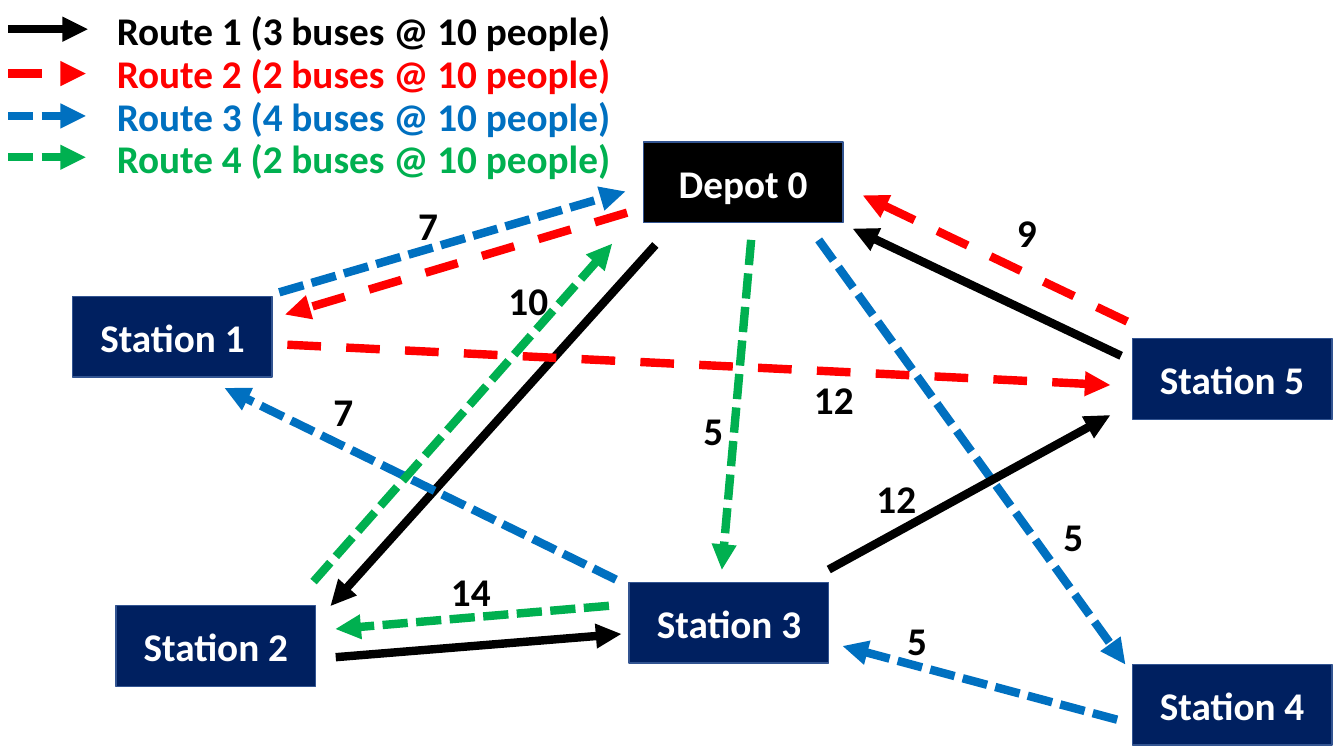
import pptx
import pptx.util
import pptx.dml.color
import pptx.enum.dml
import pptx.enum.shapes
import pptx.enum.text
import pptx.oxml
import pptx.oxml.ns

PX = 9144  # 100 px to the inch
SIZE = (1333, 750)
FONT, TEXT = "Calibri", 28
BLACK, WHITE, NAVY, EDGE = "000000", "FFFFFF", "002060", "325491"
BOX = (198, 80)
HIGH = 57  # height of a text line

DASH = pptx.enum.dml.MSO_LINE

# route: colour, dash, buses, key arrow end, key arrow y, key text top
ROUTES = {
    1: (BLACK, None, 3, 87, 29, 1),
    2: ("FF0000", DASH.DASH, 2, 85, 73, 44),
    3: ("0070C0", "sysDash", 4, 85, 115, 87),
    4: ("00B050", DASH.SQUARE_DOT, 2, 85, 156, 128),
}
KEY_X, KEY_TEXT, KEY_WIDE = 8, 106, 515

# name, left, top, fill
STOPS = [
    ("Station 1", 72, 294, NAVY),
    ("Station 5", 1123, 336, NAVY),
    ("Station 2", 115, 601, NAVY),
    ("Depot 0", 638, 141, BLACK),
    ("Station 3", 624, 578, NAVY),
    ("Station 4", 1123, 659, NAVY),
]

# route, from x, from y, to x, to y
LEGS = [
    (2, 622, 211, 283, 312),
    (3, 812, 238, 1116, 659),
    (1, 650, 243, 328, 601),
    (1, 333, 652, 616, 629),
    (1, 822, 565, 1101, 412),
    (1, 1112, 353, 846, 227),
    (2, 285, 342, 1101, 382),
    (2, 1118, 319, 856, 194),
    (3, 1108, 714, 836, 641),
    (3, 611, 575, 223, 385),
    (3, 277, 290, 620, 190),
    (4, 745, 238, 716, 565),
    (4, 604, 601, 333, 624),
    (4, 311, 577, 607, 242),
]

# people, left, top
LOADS = [
    (9, 998, 202), (7, 404, 195), (12, 797, 367), (5, 687, 398),
    (10, 494, 269), (5, 1044, 503), (12, 859, 466), (14, 437, 558),
    (5, 889, 607), (7, 320, 379),
]

ALIGN = pptx.enum.text.PP_ALIGN


def px(*nums):
    return [pptx.util.Emu(n * PX) for n in nums]


def rgb(code):
    return pptx.dml.color.RGBColor.from_string(code)


def write(frame, words, color, align):
    para = frame.paragraphs[0]
    para.alignment = align
    run = para.add_run()
    run.text = words
    run.font.name, run.font.size = FONT, pptx.util.Pt(TEXT)
    run.font.bold = True
    run.font.color.rgb = rgb(color)


def label(words, x, y, wide, color, align):
    frame = shapes.add_textbox(*px(x, y, wide, HIGH)).text_frame
    frame.word_wrap = False
    frame.auto_size = pptx.enum.text.MSO_AUTO_SIZE.SHAPE_TO_FIT_TEXT
    write(frame, words, color, align)


def arrow(route, *ends):
    color, dash = ROUTES[route][:2]
    link = shapes.add_connector(
        pptx.enum.shapes.MSO_CONNECTOR.STRAIGHT, *px(*ends))
    link.line.width = pptx.util.Pt(6)
    link.line.color.rgb = rgb(color)
    props = link._element.spPr
    line = props.find(pptx.oxml.ns.qn("a:ln"))
    if dash == "sysDash":
        mark(line, "prstDash", 'val="sysDash"')
    elif dash:
        link.line.dash_style = dash
    mark(line, "tailEnd", 'type="triangle"')
    mark(props, "effectLst")


def mark(home, tag, attrs=""):
    space = pptx.oxml.ns.nsdecls("a")
    home.append(pptx.oxml.parse_xml(f"<a:{tag} {space} {attrs}/>"))


def stop(name, x, y, fill):
    box = shapes.add_shape(
        pptx.enum.shapes.MSO_SHAPE.RECTANGLE, *px(x, y, *BOX))
    box.shadow.inherit = False
    box.fill.solid()
    box.fill.fore_color.rgb = rgb(fill)
    box.line.color.rgb = rgb(EDGE)
    box.line.width = pptx.util.Pt(1)
    box.text_frame.vertical_anchor = pptx.enum.text.MSO_ANCHOR.MIDDLE
    write(box.text_frame, name, WHITE, ALIGN.CENTER)


deck = pptx.Presentation()
deck.slide_width, deck.slide_height = px(*SIZE)
shapes = deck.slides.add_slide(deck.slide_layouts[6]).shapes

# Key
for route, (color, _, buses, end, y, top) in ROUTES.items():
    arrow(route, KEY_X, y, end, y)
    label(f"Route {route} ({buses} buses @ 10 people)",
          KEY_TEXT, top, KEY_WIDE, color, ALIGN.LEFT)

# Stops, legs and loads
for item in STOPS:
    stop(*item)
for leg in LEGS:
    arrow(*leg)
for load, x, y in LOADS:
    label(str(load), x, y, 60 if load > 9 else 41, BLACK, ALIGN.CENTER)

deck.save("out.pptx")
